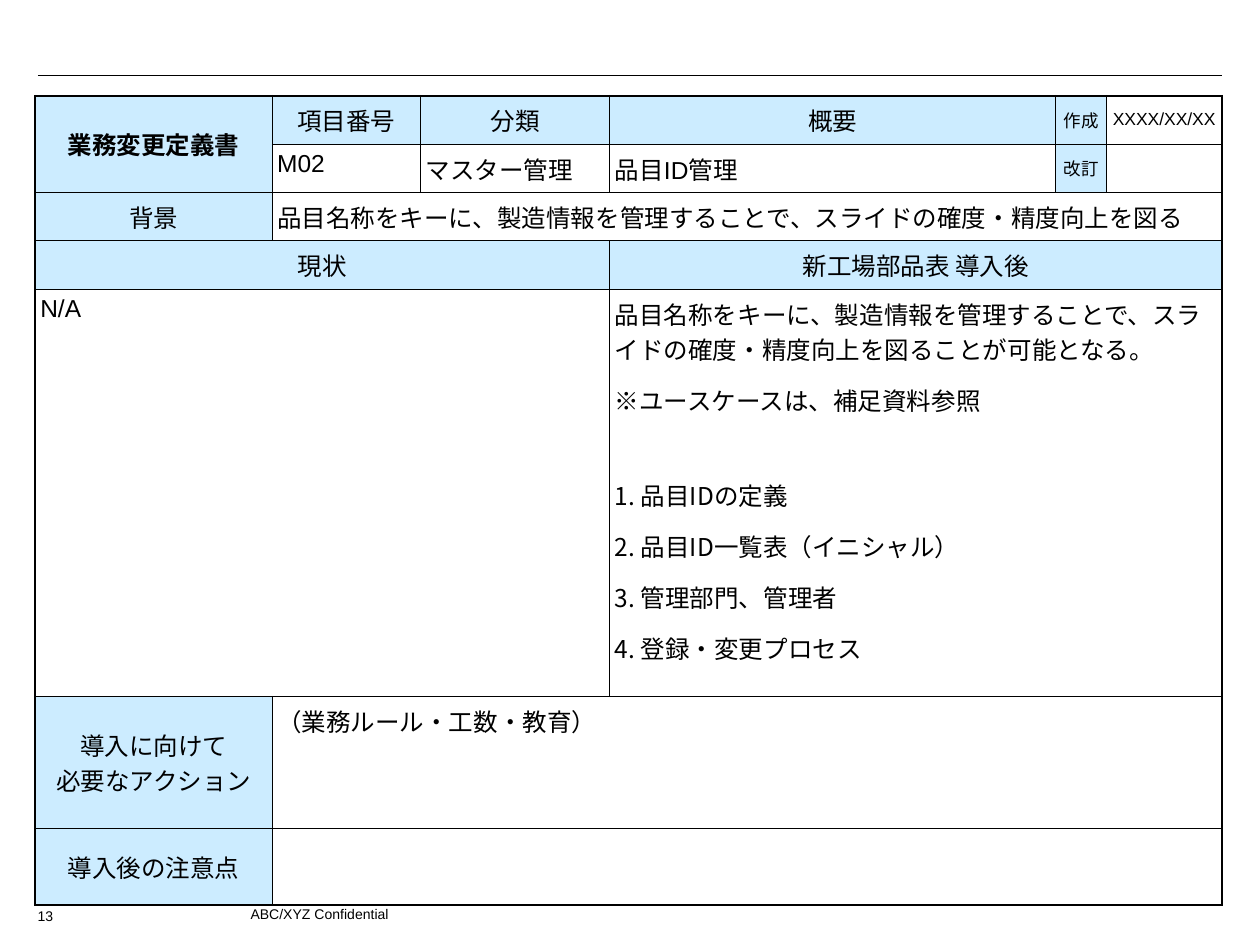
from lxml import etree
from pptx import Presentation
from pptx import util as u
from pptx.dml.color import RGBColor
from pptx.enum import lang, shapes, text
from pptx.oxml import ns

BLACK = RGBColor(0x00, 0x00, 0x00)
BLUE = RGBColor(0xCC, 0xEC, 0xFF)
SANS = "Arial"
GOTHIC = "Noto Sans CJK JP"
THICK, THIN = 1.08, 0.45
GAP = 8.8
BREAK = 33.4

COLS = [1.88, 1.18, 1.5, 3.54, 0.4, 0.92]
ROWS = [0.31, 0.32, 0.32, 0.31, 3.23, 1.05, 0.61]


class Form:
    """Style and current slide of the form."""

    def __init__(self, slide):
        self.slide = slide

    def run(self, para, words, size, font=SANS, bold=False):
        run = para.add_run()
        run.text = words
        face = run.font
        face.size, face.name, face.bold = u.Pt(size), font, bold
        face.color.rgb = BLACK
        face.language_id = lang.MSO_LANGUAGE_ID.JAPANESE
        east = etree.SubElement(run._r.get_or_add_rPr(), ns.qn("a:ea"))
        east.set("typeface", GOTHIC)

    def rule(self, x1, y1, x2, y2):
        line = self.slide.shapes.add_connector(
            shapes.MSO_CONNECTOR.STRAIGHT,
            u.Inches(x1), u.Inches(y1), u.Inches(x2), u.Inches(y2))
        line.line.color.rgb = BLACK
        line.line.width = u.Pt(0.75)
        etree.SubElement(line._element.spPr, ns.qn("a:effectLst"))

    def label(self, x, y, wide, high, words):
        box = self.slide.shapes.add_textbox(
            u.Inches(x), u.Inches(y), u.Inches(wide), u.Inches(high))
        box.text_frame.word_wrap = True
        self.run(box.text_frame.paragraphs[0], words, 8)

    def grid(self, x, y):
        frame = self.slide.shapes.add_table(
            len(ROWS), len(COLS), u.Inches(x), u.Inches(y),
            u.Inches(sum(COLS)), u.Inches(sum(ROWS)))
        self.table = frame.table
        self.table.first_row = self.table.horz_banding = False
        for col, wide in zip(self.table.columns, COLS):
            col.width = u.Inches(wide)
        for row, high in zip(self.table.rows, ROWS):
            row.height = u.Inches(high)

    def edge(self, cell, side, width):
        props = cell._tc.get_or_add_tcPr()
        line = etree.SubElement(props, ns.qn("a:ln" + side), w=str(u.Pt(width)))
        fill = etree.SubElement(line, ns.qn("a:solidFill"))
        etree.SubElement(fill, ns.qn("a:srgbClr"), val=str(BLACK))

    def frame(self, row, col, down, across):
        """Rule the outside of a block; the table's rim is thicker."""
        low, right = row + down - 1, col + across - 1
        for r in range(row, low + 1):
            for c in range(col, right + 1):
                cell = self.table.cell(r, c)
                first = (r, c) == (row, col)
                for side, here, rim in (
                        ("L", c == col, col == 0),
                        ("R", c == right, right == len(COLS) - 1),
                        ("T", r == row, row == 0),
                        ("B", r == low, low == len(ROWS) - 1)):
                    if here or first:
                        self.edge(cell, side, THICK if rim else THIN)
                # Keep empty cells from stretching their row
                if not cell.text_frame.text:
                    etree.SubElement(cell.text_frame.paragraphs[0]._p,
                                     ns.qn("a:endParaRPr"), sz="1000")

    def cell(self, row, col, paras=(), span=(1, 1), head=False, mid=False,
             size=14, bold=False, center=False, side=0.04, gap=GAP):
        """Each paragraph is (words, font, space before)."""
        cell = self.table.cell(row, col)
        if span != (1, 1):
            cell.merge(self.table.cell(row + span[0] - 1, col + span[1] - 1))
        for i, item in enumerate(paras):
            words, font, before = (
                (item, SANS, gap) if isinstance(item, str) else item)
            body = cell.text_frame
            para = body.add_paragraph() if i else body.paragraphs[0]
            if i:
                para.space_before = u.Pt(before)
            if head or center:
                para.alignment = text.PP_ALIGN.CENTER
            self.run(para, words, size, font, bold)
        self.frame(row, col, *span)
        if head:
            cell.fill.solid()
            cell.fill.fore_color.rgb = BLUE
        else:
            cell.fill.background()
        cell.margin_left = cell.margin_right = u.Inches(side)
        cell.margin_top = cell.margin_bottom = u.Inches(0.05)
        anchor = text.MSO_ANCHOR
        cell.vertical_anchor = anchor.MIDDLE if head or mid else anchor.TOP


def main():
    deck = Presentation()
    deck.slide_width, deck.slide_height = u.Inches(10), u.Inches(7.5)
    form = Form(deck.slides.add_slide(deck.slide_layouts[6]))

    # Top rule and table
    form.rule(0.3, 0.6, 9.7, 0.6)
    form.grid(0.28, 0.76)

    # Title block
    form.cell(0, 0, ["業務変更定義書"], span=(2, 1), head=True, bold=True)
    for col, words in enumerate(["項目番号", "分類", "概要"], 1):
        form.cell(0, col, [words], head=True)
    for row, words in enumerate(["作成", "改訂"]):
        form.cell(row, 4, [words], head=True, size=10, side=0.02)
    form.cell(0, 5, ["XXXX/XX/XX"], mid=True, center=True, size=10)
    form.cell(1, 1, ["M02"])
    form.cell(1, 2, ["マスター管理"], mid=True)
    form.cell(1, 3, ["品目ID管理"], mid=True)
    form.cell(1, 5)

    # Background
    reason = "品目名称をキーに、製造情報を管理することで、スライドの確度・精度向上を図る"
    form.cell(2, 0, ["背景"], head=True)
    form.cell(2, 1, [reason], span=(1, 5))

    # Before and after
    form.cell(3, 0, ["現状"], span=(1, 3), head=True)
    form.cell(3, 3, ["新工場部品表 導入後"], span=(1, 3), head=True)
    form.cell(4, 0, ["N/A"], span=(1, 3))
    steps = ["品目IDの定義", "品目ID一覧表（イニシャル）",
             "管理部門、管理者", "登録・変更プロセス"]
    form.cell(4, 3, [reason + "ことが可能となる。", "※ユースケースは、補足資料参照"] + [
        (f"{n}. {step}", GOTHIC, BREAK if n == 1 else GAP)
        for n, step in enumerate(steps, 1)], span=(1, 3))

    # Actions and cautions
    form.cell(5, 0, ["導入に向けて", "必要なアクション"], head=True, gap=0)
    form.cell(5, 1, ["（業務ルール・工数・教育）"], span=(1, 5))
    form.cell(6, 0, ["導入後の注意点"], head=True)
    form.cell(6, 1, span=(1, 5))

    # Footer
    form.label(1.89, 7.14, 6.5, 0.2, "ABC/XYZ Confidential")
    form.label(0.2, 7.15, 0.4, 0.2, "13")

    deck.save("out.pptx")


if __name__ == "__main__":
    main()
